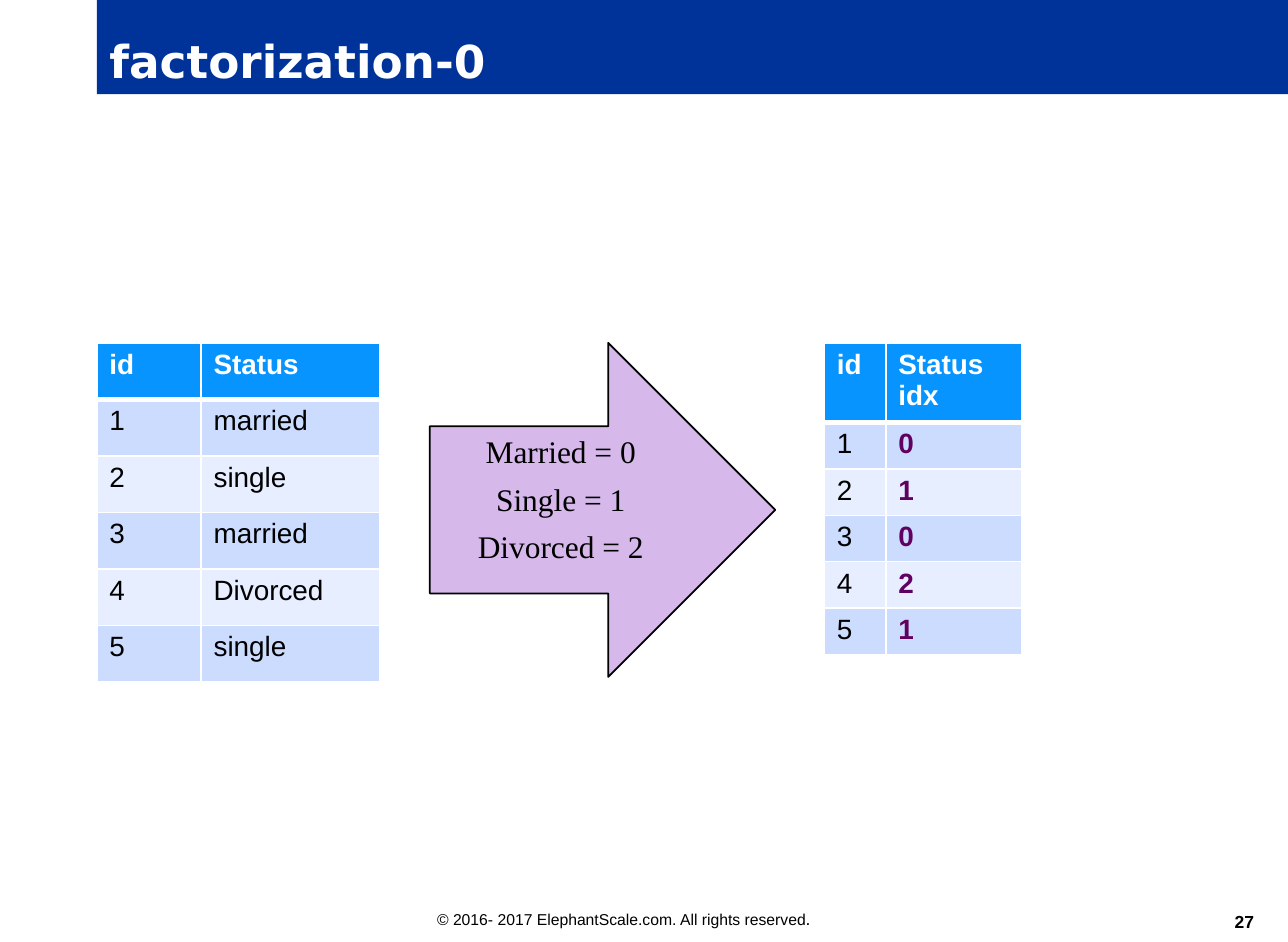
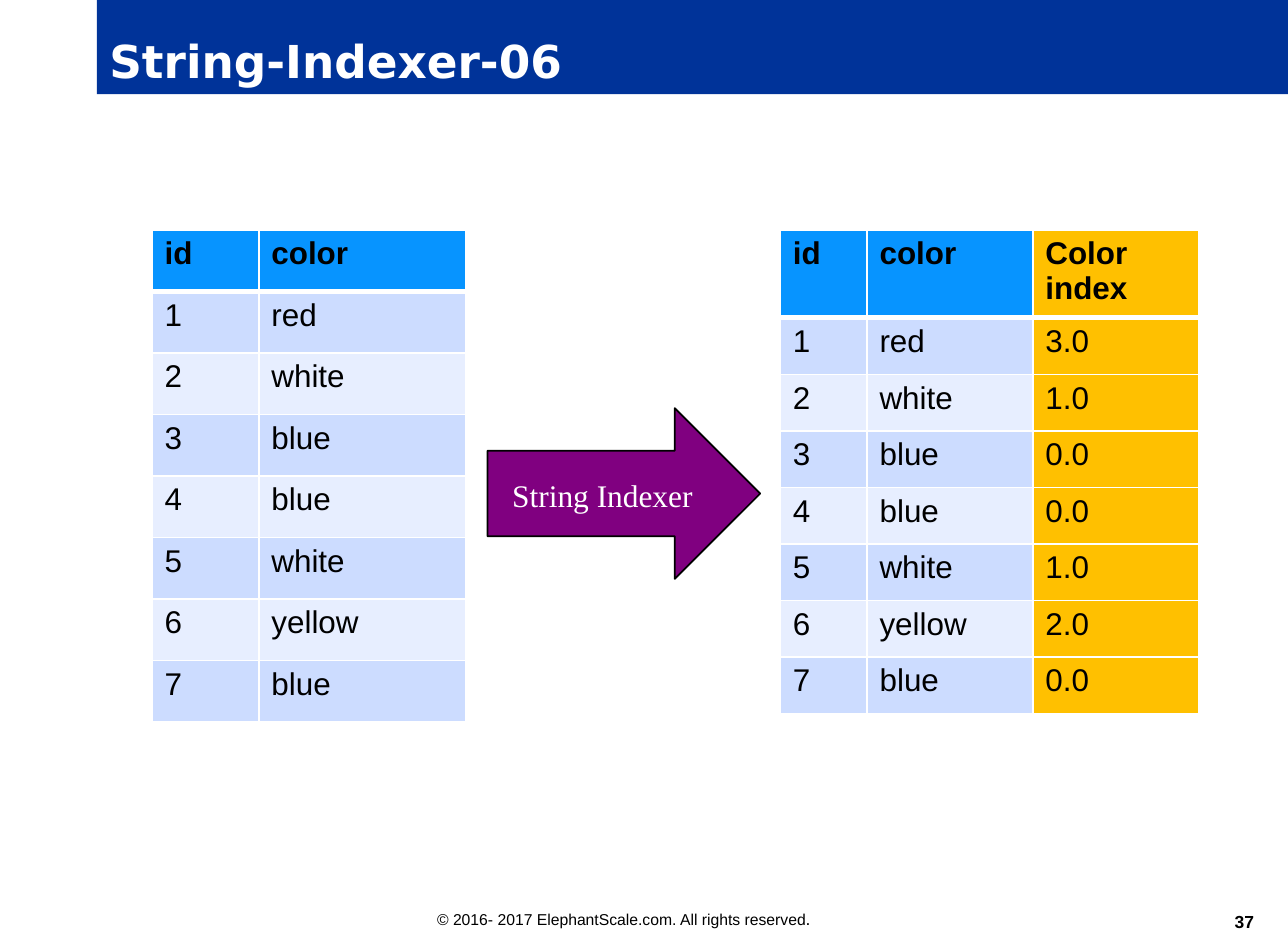
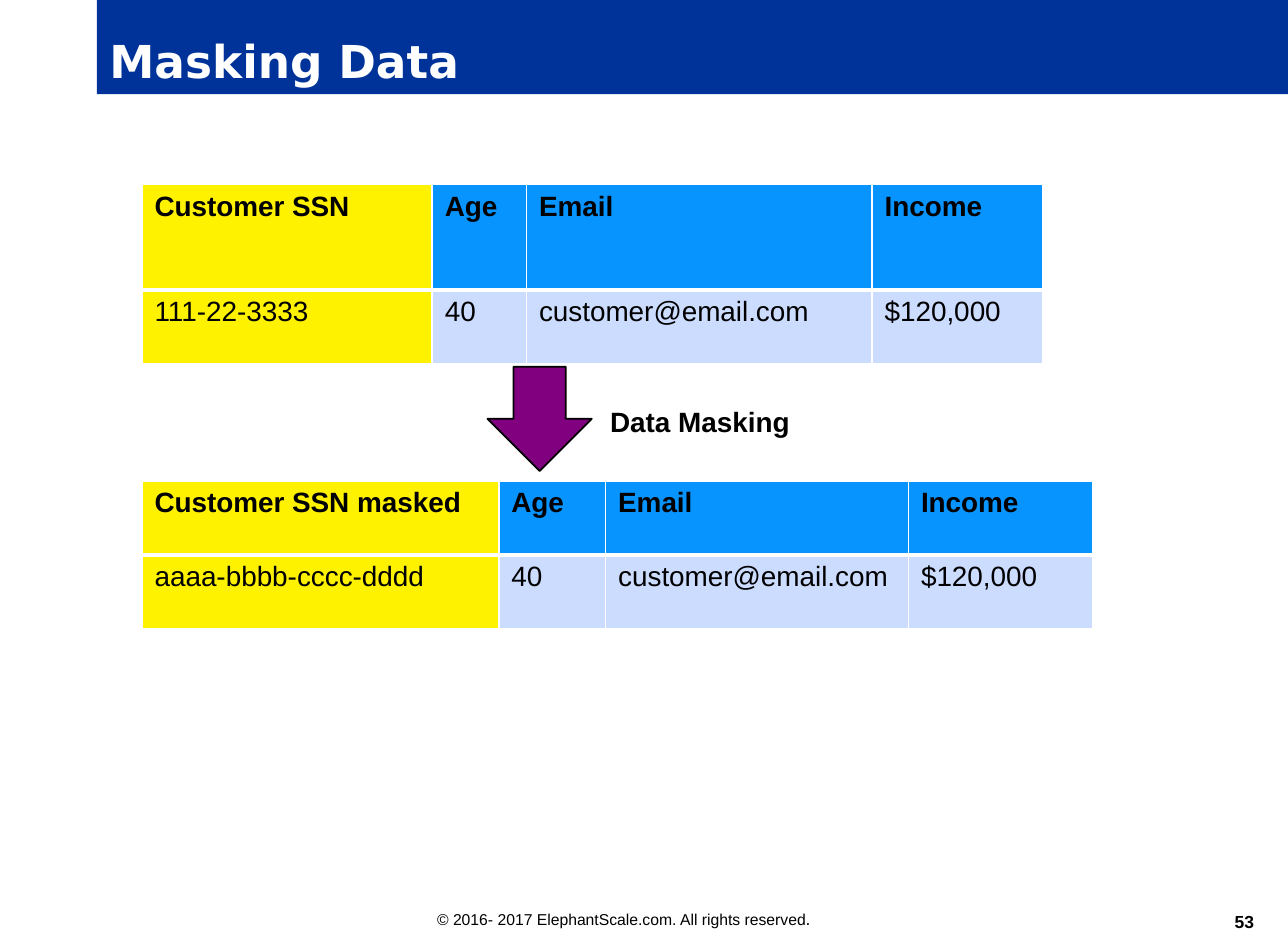
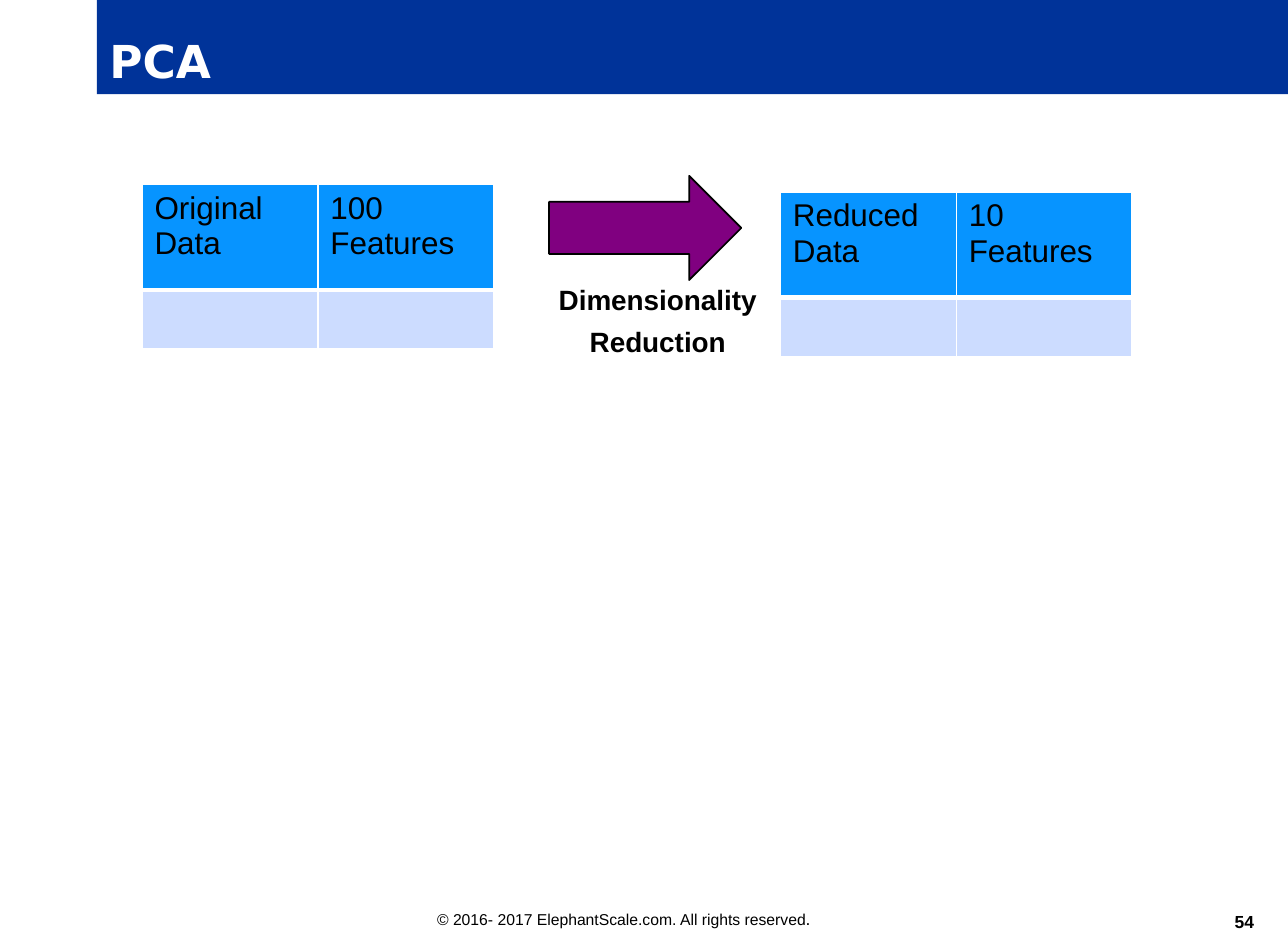
from dataclasses import dataclass, field
from typing import Optional, Union

from lxml import etree
from pptx import Presentation
from pptx.dml.color import RGBColor
from pptx.enum import shapes, text
from pptx.oxml import ns
from pptx.util import Emu, Inches, Pt


@dataclass(frozen=True)
class Theme:
    sans: str = "Arial"
    serif: str = "Times New Roman"
    head: str = "DejaVu Sans"
    white: str = "FFFFFF"
    black: str = "000000"
    navy: str = "003399"
    blue: str = "0794FF"
    bands: tuple = ("CCDCFF", "E7EEFF")
    amber: str = "FFC000"
    yellow: str = "FFF200"
    lilac: str = "D6B8EB"
    purple: str = "800080"
    plum: str = "600060"
    title: float = 26
    large: float = 18
    mid: float = 16
    page: float = 10
    small: float = 9
    thin: float = 0.96
    thick: float = 3


T = Theme()
COLS, ROWS = 41, 30
CELL = Inches(0.25)


@dataclass(frozen=True)
class Box:
    x: float
    y: float
    w: float
    h: float


@dataclass(frozen=True)
class Grid:
    x: float
    y: float
    cols: tuple
    rows: tuple
    data: tuple
    size: float = T.large
    ink: str = T.black
    bold: bool = True
    tints: dict = field(default_factory=dict)
    marks: dict = field(default_factory=dict)


@dataclass(frozen=True)
class Arrow:
    box: Box
    down: bool = False
    words: str = ""
    fill: str = T.purple
    ink: str = T.white
    lead: Optional[float] = None


@dataclass(frozen=True)
class Label:
    box: Box
    words: str


@dataclass(frozen=True)
class Page:
    title: str
    num: int
    items: tuple


BAND = Box(3.08, 0, 37.92, 3)
FOOT = Box(13.52, 28.72, 18.6, 1.04)
NUM = Box(37.52, 28.68, 2.4, 1)


def span(n: float) -> Emu:
    return Emu(round(n * CELL))


def place(box: Box) -> tuple:
    return span(box.x), span(box.y), span(box.w), span(box.h)


def rgb(code: str) -> RGBColor:
    return RGBColor.from_string(code)


def style(frame, size: float, ink: str, bold: bool = False, face: str = T.sans,
          align=text.PP_ALIGN.LEFT, gap: float = 0, lead: Optional[float] = None) -> None:
    for i, para in enumerate(frame.paragraphs):
        para.alignment = align
        para.space_before = Pt(gap if i else 0)
        if lead:
            para.line_spacing = lead
        for font in [para.font] + [run.font for run in para.runs]:
            font.size, font.bold, font.name = Pt(size), bold, face
            font.color.rgb = rgb(ink)


def write(slide, box: Box, words: str):
    frame = slide.shapes.add_textbox(*place(box)).text_frame
    frame.word_wrap = True
    frame.text = words
    return frame


def edge(cell, side: str, width: float) -> None:
    line = etree.SubElement(cell._tc.get_or_add_tcPr(), ns.qn(f"a:ln{side}"), w=str(Pt(width)))
    fill = etree.SubElement(line, ns.qn("a:solidFill"))
    etree.SubElement(fill, ns.qn("a:srgbClr"), val=T.white)


def draw_grid(slide, grid: Grid) -> None:
    box = Box(grid.x, grid.y, sum(grid.cols), sum(grid.rows))
    table = slide.shapes.add_table(len(grid.rows), len(grid.cols), *place(box)).table
    for col, wide in zip(table.columns, grid.cols):
        col.width = span(wide)
    for r, (row, high) in enumerate(zip(table.rows, grid.rows)):
        row.height = span(high)
        for c, cell in enumerate(row.cells):
            for side, heavy in (("L", False), ("R", False), ("T", r == 1), ("B", r == 0)):
                edge(cell, side, T.thick if heavy else T.thin)
            base = T.bands[(r - 1) % 2] if r else T.blue
            cell.fill.solid()
            cell.fill.fore_color.rgb = rgb(grid.tints.get(c, base))
            cell.text_frame.text = grid.data[r][c]
            mark = grid.marks.get(c) if r else None
            ink = (mark or T.black) if r else grid.ink
            style(cell.text_frame, grid.size, ink, bool(mark) if r else grid.bold)


def draw_arrow(slide, arrow: Arrow) -> None:
    kind = shapes.MSO_SHAPE.DOWN_ARROW if arrow.down else shapes.MSO_SHAPE.RIGHT_ARROW
    shape = slide.shapes.add_shape(kind, *place(arrow.box))
    shape.shadow.inherit = False
    shape.fill.solid()
    shape.fill.fore_color.rgb = rgb(arrow.fill)
    shape.line.color.rgb = rgb(T.black)
    shape.line.width = Pt(1)
    if arrow.words:
        frame = shape.text_frame
        frame.text = arrow.words
        frame.vertical_anchor = text.MSO_ANCHOR.TOP
        style(frame, T.large, arrow.ink, face=T.serif, align=text.PP_ALIGN.CENTER,
              gap=5.4, lead=arrow.lead)


def draw_label(slide, label: Label) -> None:
    style(write(slide, label.box, label.words), T.mid, T.black, True,
          align=text.PP_ALIGN.CENTER, gap=4.8)


def draw_frame(slide, page: Page) -> None:
    foot = write(slide, FOOT, "© 2016- 2017 ElephantScale.com. All rights reserved")
    dot = foot.paragraphs[0].add_run()
    dot.text = "."
    style(foot, T.small, T.black)
    dot.font.size = Pt(T.page)

    title = slide.shapes.title
    title.left, title.top, title.width, title.height = place(BAND)
    title.fill.solid()
    title.fill.fore_color.rgb = rgb(T.navy)
    frame = title.text_frame
    frame.text = page.title
    frame.auto_size = text.MSO_AUTO_SIZE.NONE
    frame.vertical_anchor = text.MSO_ANCHOR.BOTTOM
    style(frame, T.title, T.white, True, T.head)

    num = write(slide, NUM, str(page.num))
    num.margin_left = num.margin_top = num.margin_right = num.margin_bottom = 0
    num.vertical_anchor = text.MSO_ANCHOR.BOTTOM
    style(num, T.page, T.black, True, align=text.PP_ALIGN.RIGHT)


def draw_item(slide, item: Union[Grid, Arrow, Label]) -> None:
    {Grid: draw_grid, Arrow: draw_arrow, Label: draw_label}[type(item)](slide, item)


def count(names: tuple) -> tuple:
    return tuple((str(i), name) for i, name in enumerate(names, 1))


STATES = count(("married", "single", "married", "Divorced", "single"))
CODES = count(("0", "1", "0", "2", "1"))
HUES = count(("red", "white", "blue", "blue", "white", "yellow", "blue"))
INDEX = {"red": "3.0", "white": "1.0", "blue": "0.0", "yellow": "2.0"}
FACTS = ("Age", "Email", "Income")
CLIENT = ("40", "customer@email.com", "$120,000")


def client(y: float, cols: tuple, top: float, name: str, code: str) -> Grid:
    return Grid(4.52, y, cols, (top, 2.36), ((name, *FACTS), (code, *CLIENT)),
                T.mid, tints={0: T.yellow})


def sample(x: float, y: float, name: str, size: str) -> Grid:
    return Grid(x, y, (5.6, 5.6), (3.36, 1.88), ((name, size), ("", "")), bold=False)


PAGES = (
    Page("factorization-0", 27, (
        Grid(3.08, 10.92, (3.32, 5.68), (1.8,) * 6,
             (("id", "Status"), *STATES), T.mid, T.white),
        Grid(26.24, 10.92, (1.96, 4.32), (2.36,) + (1.48,) * 5,
             (("id", "Status\nidx"), *CODES), T.mid, T.white, marks={1: T.plum}),
        Arrow(Box(13.68, 10.92, 11, 10.64), words="Married = 0\nSingle = 1\nDivorced = 2",
              fill=T.lilac, ink=T.black),
    )),
    Page("String-Indexer-06", 37, (
        Grid(4.84, 7.32, (3.4, 6.6), (1.96,) * 8, (("id", "color"), *HUES)),
        Arrow(Box(15.52, 13, 8.68, 5.44), words="String Indexer", lead=1.5),
        Grid(24.84, 7.32, (2.76, 5.28, 5.28), (2.64,) + (1.8,) * 7,
             (("id", "color", "Color\nindex"), *((i, hue, INDEX[hue]) for i, hue in HUES)),
             tints={2: T.amber}),
    )),
    Page("Masking Data", 53, (
        client(5.88, (9.24, 3, 11, 5.44), 3.36, "Customer SSN", "111-22-3333"),
        client(15.32, (11.36, 3.4, 9.64, 5.88), 2.36, "Customer SSN masked",
               "aaaa-bbbb-cccc-dddd"),
        Arrow(Box(15.52, 11.68, 3.32, 3.32), down=True),
        Label(Box(18.16, 12.68, 8.24, 1.72), "Data Masking"),
    )),
    Page("PCA", 54, (
        sample(4.52, 5.88, "Original Data", "100 Features"),
        Arrow(Box(17.48, 5.6, 6.12, 3.32)),
        Label(Box(15.88, 8.8, 10.12, 2.68), "Dimensionality\nReduction"),
        sample(24.84, 6.12, "Reduced Data", "10 Features"),
    )),
)


def main() -> None:
    deck = Presentation()
    deck.slide_width, deck.slide_height = span(COLS), span(ROWS)
    for page in PAGES:
        slide = deck.slides.add_slide(deck.slide_layouts[5])
        draw_frame(slide, page)
        for item in page.items:
            draw_item(slide, item)
    deck.save("out.pptx")


if __name__ == "__main__":
    main()
